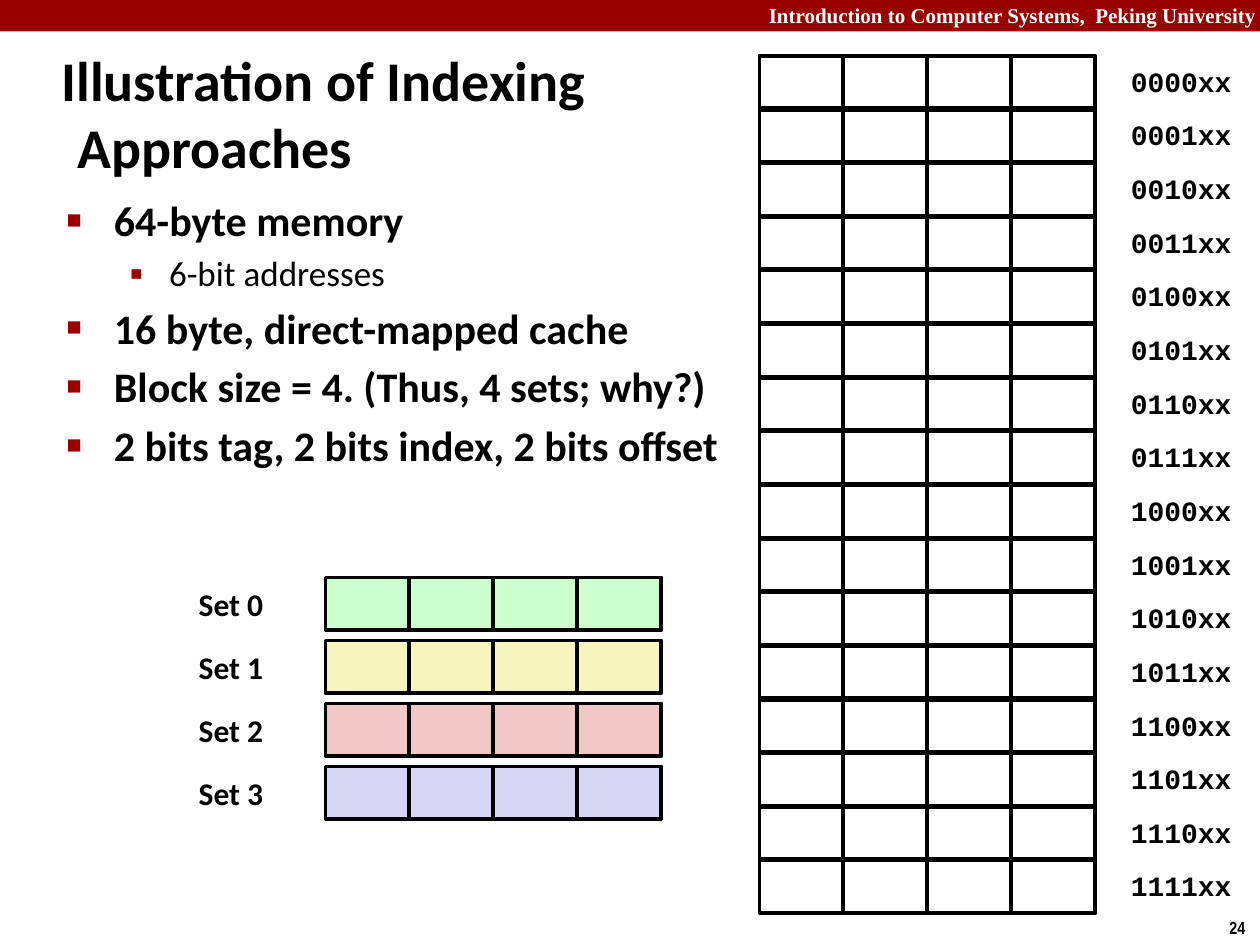
from lxml.etree import SubElement
from pptx import Presentation
from pptx.dml.color import RGBColor
from pptx.enum.shapes import MSO_SHAPE as Shape
from pptx.enum.text import MSO_ANCHOR as Anchor, PP_ALIGN as Align
from pptx.oxml.ns import qn
from pptx.util import Pt

RED = "990000"
BLACK = "000000"
WHITE = "FFFFFF"
CACHE_COLORS = ["CCFFCC", "F6F5BD", "F1C7C7", "D6D6F5"]
BULLETS = [
    (0, "64-byte memory"),
    (1, "6-bit addresses"),
    (0, "16 byte, direct-mapped cache"),
    (0, "Block size = 4. (Thus, 4 sets; why?)"),
    (0, "2 bits tag, 2 bits index, 2 bits offset"),
]
LEVELS = [
    {"size": 24, "bold": True, "margin": 27, "hang": 27, "mark": "■", "percent": 60},
    {"size": 20, "bold": False, "margin": 58.5, "hang": 22.5, "mark": "▪", "percent": 110},
]


def color(value):
    return RGBColor.from_string(value)


class SlideBuilder:
    cell_width = 48
    cell_height = 30
    cells_per_block = 4
    line_width = 2.25

    def __init__(self, slide):
        self.slide = slide

    def frame(self, left, top, width, height, anchor=Anchor.TOP, wrap=True):
        box = self.slide.shapes.add_textbox(Pt(left), Pt(top), Pt(width), Pt(height))
        frame = box.text_frame
        frame.word_wrap = wrap
        frame.vertical_anchor = anchor
        return frame

    def run(self, paragraph, text, size, font="Calibri", ink=BLACK, bold=True):
        run = paragraph.add_run()
        run.text = text
        run.font.size = Pt(size)
        run.font.name = font
        run.font.bold = bold
        run.font.color.rgb = color(ink)

    def text(self, text, area, size, align=Align.LEFT, anchor=Anchor.TOP, wrap=True, **style):
        paragraph = self.frame(*area, anchor, wrap).paragraphs[0]
        paragraph.alignment = align
        self.run(paragraph, text, size, **style)
        return paragraph

    def label(self, text, area, size, **style):
        self.text(text, area, size, Align.CENTER, Anchor.MIDDLE, **style)

    def indent(self, paragraph, margin, hang):
        properties = paragraph._p.get_or_add_pPr()
        properties.set("marL", str(Pt(margin)))
        properties.set("indent", str(-Pt(hang)))
        return properties

    def bullets(self, items, area):
        frame = self.frame(*area)
        for index, (depth, text) in enumerate(items):
            level = LEVELS[depth]
            paragraph = frame.add_paragraph() if index else frame.paragraphs[0]
            paragraph.level = depth
            properties = self.indent(paragraph, level["margin"], level["hang"])
            fill = SubElement(properties, qn("a:buClr"))
            SubElement(fill, qn("a:srgbClr"), val=RED)
            SubElement(properties, qn("a:buSzPct"), val=str(level["percent"] * 1000))
            SubElement(properties, qn("a:buFont"), typeface="Arial")
            SubElement(properties, qn("a:buChar"), char=level["mark"])
            if index:
                paragraph.space_before = Pt(level["size"] * 0.2)
            self.run(paragraph, text, level["size"], bold=level["bold"])

    def rectangle(self, shapes, left, top, width, height, fill=None, line=None):
        shape = shapes.add_shape(Shape.RECTANGLE, Pt(left), Pt(top), Pt(width), Pt(height))
        shape.shadow.inherit = False
        if fill:
            shape.fill.solid()
            shape.fill.fore_color.rgb = color(fill)
        else:
            shape.fill.background()
        if line:
            shape.line.color.rgb = color(line)
            shape.line.width = Pt(self.line_width)
        else:
            shape.line.fill.background()

    def block(self, left, top, fill=None):
        group = self.slide.shapes.add_group_shape()
        for column in range(self.cells_per_block):
            self.rectangle(group.shapes, left + column * self.cell_width, top,
                           self.cell_width, self.cell_height, fill, BLACK)


def main():
    presentation = Presentation()
    presentation.slide_width = Pt(720)
    presentation.slide_height = Pt(540)
    slide = presentation.slides.add_slide(presentation.slide_layouts[6])
    builder = SlideBuilder(slide)

    builder.rectangle(slide.shapes, 0, 0, 720, 18, RED)
    builder.text("Introduction to Computer Systems,  Peking University", (432, -2, 293, 22), 12,
                 Align.RIGHT, font="Times New Roman", ink=WHITE)
    builder.text("24", (695.5, 520.5, 24.5, 19.5), 10, wrap=False, font="Arial Narrow")

    title = builder.text("Illustration of Indexing Approaches", (28, 34.5, 392, 60), 32,
                         anchor=Anchor.MIDDLE)
    builder.indent(title, 9, 9)
    builder.bullets(BULLETS, (31, 107.5, 461, 85))

    for index, fill in enumerate(CACHE_COLORS):
        top = 330 + 36 * index
        builder.block(186, top, fill)
        builder.label(f"Set {index}", (96, top, 72, 30), 18)

    for index in range(16):
        top = 32 + 30.65 * index
        builder.block(434, top)
        builder.label(f"{index:04b}xx", (636, top - 0.6, 78, 30), 16, font="Courier New")

    presentation.save("out.pptx")


if __name__ == "__main__":
    main()
